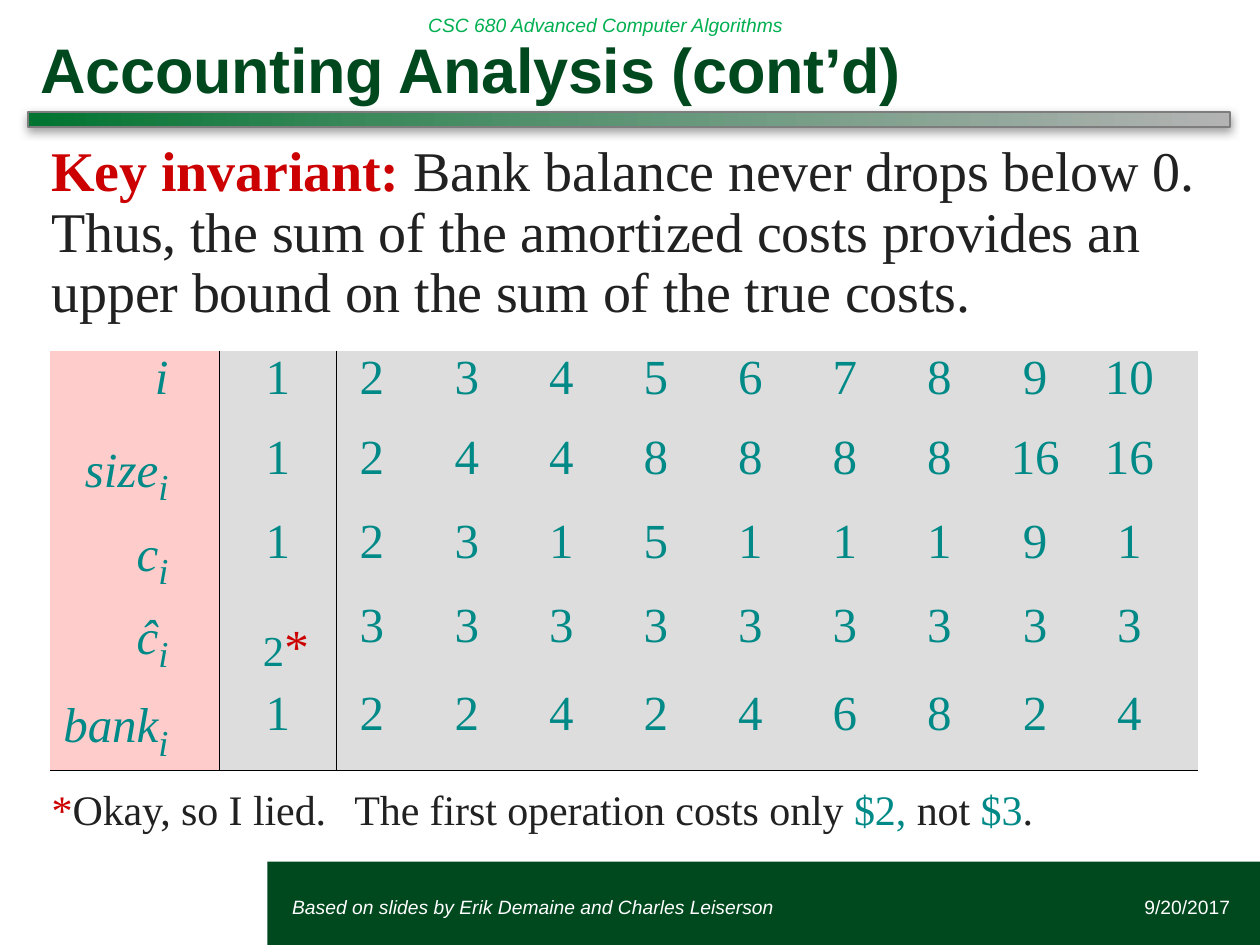
from copy import deepcopy
from dataclasses import dataclass

from lxml.etree import SubElement
from pptx import Presentation
from pptx.dml.color import RGBColor
from pptx.enum.shapes import MSO_SHAPE
from pptx.enum.text import MSO_ANCHOR, PP_ALIGN
from pptx.oxml.ns import qn
from pptx.util import Pt


@dataclass(frozen=True)
class Theme:
    heading_font: str = "Arial"
    body_font: str = "Times New Roman"
    green: str = "00481E"
    header_green: str = "00B050"
    bar_stops: tuple = ((0, "007430"), (0.29, "3C895C"), (1, "B3B3B3"))
    bar_line: str = "7D7D7D"
    shadow: str = "808080"
    ink: str = "212121"
    red: str = "CC0000"
    teal: str = "008A87"
    pink: str = "FFCCCC"
    gray: str = "DDDDDD"
    white: str = "FFFFFF"
    black: str = "000000"
    title_size: int = 36
    body_size: int = 32
    cell_size: int = 28
    subscript_size: int = 36
    starred_size: int = 42
    note_size: int = 24
    small_size: int = 11


def rgb(code):
    return RGBColor.from_string(code)


class SlideBuilder:
    def __init__(self, slide, theme):
        self.slide = slide
        self.theme = theme

    def run(self, paragraph, text, size, color, font=None, bold=False,
            italic=False, spacing=0, baseline=0):
        run = paragraph.add_run()
        run.text = text
        run.font.name = font or self.theme.body_font
        run.font.size = Pt(size)
        run.font.bold = bold
        run.font.italic = italic
        run.font.color.rgb = rgb(color)
        properties = run.font._element
        if spacing:
            properties.set("spc", str(round(spacing * 100)))
        if baseline:
            properties.set("baseline", str(baseline * 1000))

    def place(self, shape, box):
        shape.left, shape.top, shape.width, shape.height = map(Pt, box)

    def title(self, text, box):
        title = self.slide.shapes.title
        self.place(title, box)
        title.text_frame.vertical_anchor = MSO_ANCHOR.BOTTOM
        paragraph = title.text_frame.paragraphs[0]
        paragraph.alignment = PP_ALIGN.LEFT
        self.run(paragraph, text, self.theme.title_size, self.theme.green,
                 self.theme.heading_font, bold=True, spacing=-0.2)

    def text(self, box, inset=0, anchor=MSO_ANCHOR.TOP, align=PP_ALIGN.LEFT):
        """Add a text box and return its paragraph."""
        frame = self.slide.shapes.add_textbox(*map(Pt, box)).text_frame
        frame.word_wrap = True
        frame.vertical_anchor = anchor
        frame.margin_left = frame.margin_right = Pt(inset)
        frame.margin_top = frame.margin_bottom = 0
        paragraph = frame.paragraphs[0]
        paragraph.alignment = align
        return paragraph

    def small_text(self, text, box, color, italic=True, inset=0,
                   align=PP_ALIGN.LEFT):
        paragraph = self.text(box, inset, MSO_ANCHOR.MIDDLE, align)
        self.run(paragraph, text, self.theme.small_size, color,
                 self.theme.heading_font, italic=italic)

    def rectangle(self, box):
        shape = self.slide.shapes.add_shape(MSO_SHAPE.RECTANGLE, *map(Pt, box))
        shape.shadow.inherit = False
        return shape

    def band(self, box):
        band = self.rectangle(box)
        band.fill.solid()
        band.fill.fore_color.rgb = rgb(self.theme.green)
        band.line.fill.background()

    def gradient_bar(self, box):
        bar = self.rectangle(box)
        bar.fill.gradient()
        bar.fill.gradient_angle = 0
        last_stop = bar._element.xpath(".//a:gs")[-1]
        last_stop.addprevious(deepcopy(last_stop))
        for stop, (position, color) in zip(bar.fill.gradient_stops, self.theme.bar_stops):
            stop.position = position
            stop.color.rgb = rgb(color)
        bar.line.color.rgb = rgb(self.theme.bar_line)
        bar.line.width = Pt(1)
        effects = bar._element.spPr.find(qn("a:effectLst"))
        shadow = SubElement(effects, qn("a:outerShdw"), blurRad=str(Pt(5)),
                            dist=str(Pt(2)), dir="5400000", rotWithShape="0")
        color = SubElement(shadow, qn("a:srgbClr"), val=self.theme.shadow)
        SubElement(color, qn("a:alpha"), val="75000")

    def table(self, box, widths, heights):
        table = self.slide.shapes.add_table(
            len(heights), len(widths), *map(Pt, box)).table
        table.first_row = table.horz_banding = False
        # "No style, no grid"
        table._tbl.tblPr.find(qn("a:tableStyleId")).text = (
            "{2D5ABB26-0587-4C30-8999-92F81FD0307C}")
        for column, width in zip(table.columns, widths):
            column.width = Pt(width)
        for row, height in zip(table.rows, heights):
            row.height = Pt(height)
        return table

    def cell(self, cell, fill, sides, margins, align):
        """Format a cell and return its paragraph."""
        cell.margin_left, cell.margin_right = map(Pt, margins)
        cell.margin_top = cell.margin_bottom = 0
        for side in sides:
            line = SubElement(cell._tc.get_or_add_tcPr(), qn("a:ln" + side), w=str(Pt(0.75)))
            line_fill = SubElement(line, qn("a:solidFill"))
            SubElement(line_fill, qn("a:srgbClr"), val=self.theme.black)
        cell.fill.solid()
        cell.fill.fore_color.rgb = rgb(fill)
        paragraph = cell.text_frame.paragraphs[0]
        paragraph.alignment = align
        return paragraph


# Label, whether it takes the subscript i, and the values
COST_ROWS = [
    ("i", False, "1 2 3 4 5 6 7 8 9 10"),
    ("size", True, "1 2 4 4 8 8 8 8 16 16"),
    ("c", True, "1 2 3 1 5 1 1 1 9 1"),
    ("ĉ", True, "2* 3 3 3 3 3 3 3 3 3"),
    ("bank", True, "1 2 2 4 2 4 6 8 2 4"),
]
COLUMN_WIDTHS = [96.5, 67, 47.5] + [54] * 5 + [51, 57.6, 66]
ROW_HEIGHTS = [46, 48, 43, 44.6, 47]
# Left and right margins that shift the centred values of a column
VALUE_MARGINS = {2: (0, 7), 8: (3, 0), 9: (4, 0), 10: (0, 12)}


def fill_cost_table(builder, table):
    theme = builder.theme
    for row, (label, has_subscript, values) in enumerate(COST_ROWS):
        bottom = "B" if row == len(COST_ROWS) - 1 else ""
        paragraph = builder.cell(table.cell(row, 0), theme.pink, ["R", *bottom],
                                 (0, 29), PP_ALIGN.RIGHT)
        builder.run(paragraph, label, theme.cell_size, theme.teal, italic=True)
        if has_subscript:
            builder.run(paragraph, "i", theme.subscript_size, theme.teal,
                        italic=True, baseline=-21)

        for column, value in enumerate(values.split(), start=1):
            starred = value.endswith("*")
            sides = ["L", "R", *bottom] if column == 1 else [*bottom]
            margins = (25, 0) if starred else VALUE_MARGINS.get(column, (0, 0))
            align = PP_ALIGN.LEFT if starred else PP_ALIGN.CENTER
            paragraph = builder.cell(table.cell(row, column), theme.gray,
                                     sides, margins, align)
            if starred:
                builder.run(paragraph, value[:-1], theme.starred_size,
                            theme.teal, spacing=-0.8, baseline=-3)
                builder.run(paragraph, "*", theme.cell_size, theme.red)
            else:
                builder.run(paragraph, value, theme.cell_size, theme.teal)


def main():
    presentation = Presentation()
    presentation.slide_width, presentation.slide_height = Pt(720), Pt(540)
    slide = presentation.slides.add_slide(presentation.slide_layouts[5])
    theme = Theme()
    builder = SlideBuilder(slide, theme)

    # Header, title and rule
    builder.band((152.8, 492.3, 567.2, 48))
    builder.small_text("CSC 680 Advanced Computer Algorithms",
                       (237.6, 0, 332, 28.8), theme.header_green, inset=7.2)
    builder.gradient_bar((16, 64, 687, 8.6))
    builder.title("Accounting Analysis (cont’d)", (16, 11.5, 687, 52.5))

    # Key invariant
    paragraph = builder.text((29.5, 81.4, 662, 106))
    paragraph.line_spacing = Pt(34.6)
    builder.run(paragraph, "Key invariant: ", theme.body_size, theme.red,
                bold=True, spacing=-0.1)
    builder.run(paragraph, "Bank balance never drops below 0. Thus, the sum of the "
                "amortized costs provides an upper bound on the sum of the true costs.",
                theme.body_size, theme.ink, spacing=-0.1)

    # Cost table
    table = builder.table((28.8, 200.3, 656, 229), COLUMN_WIDTHS, ROW_HEIGHTS)
    fill_cost_table(builder, table)

    # Footnote
    paragraph = builder.text((29.5, 448, 564.5, 28.8))
    tabs = SubElement(paragraph._p.get_or_add_pPr(), qn("a:tabLst"))
    SubElement(tabs, qn("a:tab"), pos=str(Pt(173)), algn="l")
    for text, color in [("*", theme.red),
                        ("Okay, so I lied.\tThe first operation costs only ", theme.ink),
                        ("$2, ", theme.teal), ("not ", theme.ink),
                        ("$3", theme.teal), (".", theme.ink)]:
        builder.run(paragraph, text, theme.note_size, color, spacing=-0.05)

    # Footer
    builder.small_text("Based on slides by Erik Demaine and Charles Leiserson",
                       (167, 504, 332, 28.8), theme.white)
    builder.small_text("9/20/2017", (535, 504, 168, 28.8), theme.white,
                       italic=False, align=PP_ALIGN.RIGHT)

    presentation.save("out.pptx")


if __name__ == "__main__":
    main()
